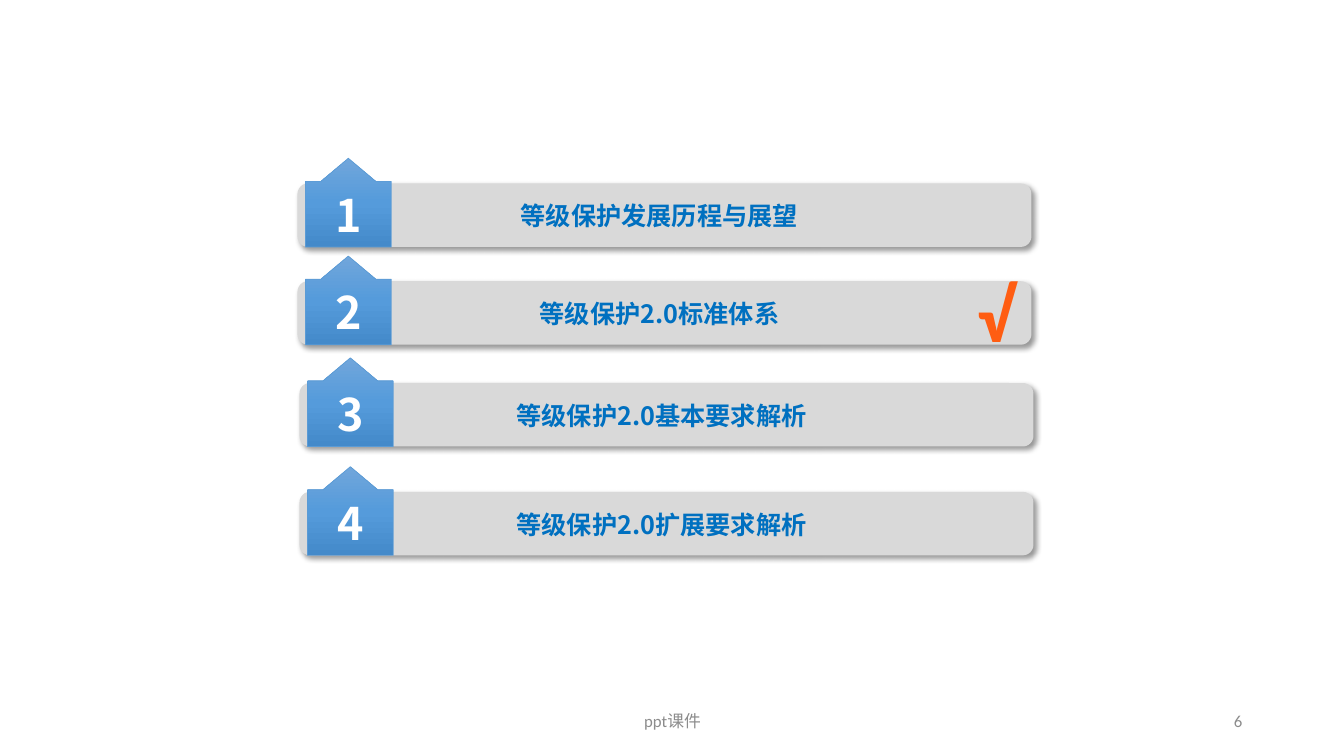
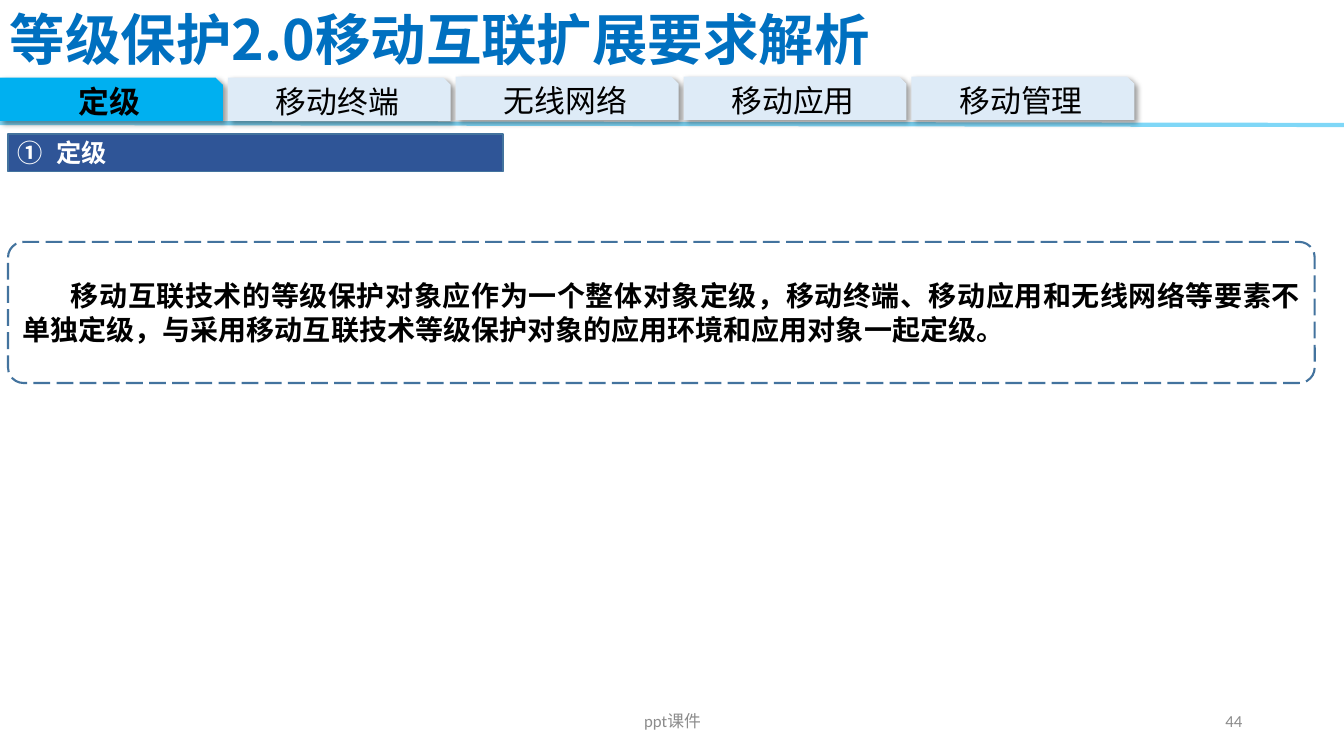
from lxml import etree
from pptx import Presentation
from pptx import util as u
from pptx.dml.color import RGBColor
from pptx.enum import dml, shapes, text
from pptx.oxml.ns import qn

PX = 9144  # 100 px to the inch
WIDTH, HEIGHT = 1333, 750

WHITE = RGBColor(0xFF, 0xFF, 0xFF)
BLACK = RGBColor(0x00, 0x00, 0x00)
GREY = RGBColor(0x8C, 0x8C, 0x8C)
BAR_GREY = RGBColor(0xD9, 0xD9, 0xD9)
TITLE_BLUE = RGBColor(0x00, 0x70, 0xC0)
SKY = RGBColor(0x00, 0xB0, 0xF0)
PALE_BLUE = RGBColor(0xDE, 0xEB, 0xF7)
NAVY = RGBColor(0x2F, 0x55, 0x97)
OUTLINE = RGBColor(0x43, 0x73, 0x9E)
BADGE_LINE = RGBColor(0x5B, 0x9B, 0xD5)
BADGE_STOPS = [(0, RGBColor(0x71, 0xA6, 0xDB)), (50, RGBColor(0x55, 0x9B, 0xDB)),
               (100, RGBColor(0x44, 0x8A, 0xCA))]
CHECK_STOPS = [(0, RGBColor(0xFF, 0xAC, 0x8E)), (75, RGBColor(0xFF, 0x5D, 0x12)),
               (100, RGBColor(0xD4, 0x56, 0x00))]

CJK, LATIN = "Noto Sans CJK SC", "Calibri"
LEFT, CENTER, RIGHT, JUSTIFY = (text.PP_ALIGN.LEFT, text.PP_ALIGN.CENTER,
                                text.PP_ALIGN.RIGHT, text.PP_ALIGN.JUSTIFY)
SHAPE = shapes.MSO_SHAPE


def add_node(parent, tag, **attributes):
    return etree.SubElement(parent, qn(tag), {k: str(v) for k, v in attributes.items()})


def fill_downwards(fill, owner, stops):
    """Give fill, which lies in the XML element owner, a top-to-bottom gradient."""
    fill.gradient()
    fill.gradient_angle = 270
    stop_list = owner.find(".//" + qn("a:gsLst"))
    for old_stop in list(stop_list):
        stop_list.remove(old_stop)
    for percent, color in stops:
        stop = add_node(stop_list, "a:gs", pos=percent * 1000)
        add_node(stop, "a:srgbClr", val=color)


class Deck:
    def __init__(self):
        self.prs = Presentation()
        self.prs.slide_width, self.prs.slide_height = WIDTH * PX, HEIGHT * PX
        self.slide = None

    def new_slide(self, number):
        self.slide = self.prs.slides.add_slide(self.prs.slide_layouts[6])
        self.label("ppt课件", 442, 695, 450, 40, 12, GREY, font=LATIN, bold=False)
        self.label(number, 942, 695, 300, 40, 12, GREY, font=LATIN, bold=False, align=RIGHT)

    def set_text(self, box, words, size, color, font=CJK, bold=True, align=CENTER):
        frame = box.text_frame
        frame.word_wrap = True
        frame.vertical_anchor = text.MSO_ANCHOR.MIDDLE
        paragraph = frame.paragraphs[0]
        paragraph.text = words
        paragraph.alignment = align
        style = paragraph.font
        style.size, style.bold, style.name = u.Pt(size), bold, font
        style.color.rgb = color
        defaults = paragraph._p.pPr.find(qn("a:defRPr"))
        add_node(defaults, "a:ea", typeface=CJK)
        return paragraph

    def label(self, words, x, y, w, h, size, color, **style):
        box = self.slide.shapes.add_textbox(x * PX, y * PX, w * PX, h * PX)
        return self.set_text(box, words, size, color, **style)

    def panel(self, kind, x, y, w, h, fill=None, line=None, weight=1, shadow=False):
        panel = self.slide.shapes.add_shape(kind, x * PX, y * PX, w * PX, h * PX)
        panel.shadow.inherit = False
        if fill is None:
            panel.fill.background()
        else:
            panel.fill.solid()
            panel.fill.fore_color.rgb = fill
        if line is None:
            panel.line.fill.background()
        else:
            panel.line.color.rgb = line
            panel.line.width = u.Pt(weight)
        if shadow:
            effects = panel._element.spPr.find(qn("a:effectLst"))
            cast = add_node(effects, "a:outerShdw", blurRad=u.Pt(4), dist=u.Pt(3),
                            dir=45 * 60000, algn="tl", rotWithShape=0)
            add_node(add_node(cast, "a:srgbClr", val=BLACK), "a:alpha", val=40000)
        return panel

    def agenda_row(self, number, words, x, y):
        self.panel(SHAPE.ROUNDED_RECTANGLE, x, y, 728, 63, BAR_GREY, shadow=True)
        badge = self.panel(SHAPE.UP_ARROW_CALLOUT, x + 8, y - 25, 85, 88,
                           line=BADGE_LINE, weight=0.5)
        for i, value in enumerate((1.61, 0.32, 0.27, 0.81)):
            badge.adjustments[i] = value
        fill_downwards(badge.fill, badge._element.spPr, BADGE_STOPS)
        self.set_text(badge, str(number), 32, WHITE)
        self.label(words, x + 95, y + 12, 528, 40, 18, TITLE_BLUE)

    def check_mark(self, x, y):
        mark = self.label("√", x, y, 78, 101, 54, BLACK, font=LATIN)
        fill_downwards(mark.font.fill, mark._p.pPr, CHECK_STOPS)

    def rule(self, x1, y1, x2, y2, color, weight, opacity):
        rule = self.slide.shapes.add_connector(shapes.MSO_CONNECTOR.STRAIGHT,
                                               x1 * PX, y1 * PX, x2 * PX, y2 * PX)
        rule.line.color.rgb = color
        rule.line.width = u.Pt(weight)
        properties = rule._element.spPr
        add_node(properties.find(".//" + qn("a:srgbClr")), "a:alpha", val=opacity * 1000)
        add_node(properties, "a:effectLst")

    def tabs(self, names, active):
        for i, name in enumerate(names):
            chosen = name == active
            tab = self.panel(SHAPE.SNIP_1_RECTANGLE, 226 * i, 77 if i < 2 else 76, 221, 43,
                             SKY if chosen else PALE_BLUE, shadow=True)
            self.set_text(tab, name, 22, BLACK, bold=chosen)

    def numbered_heading(self, words, x, y, w, h):
        band = self.panel(SHAPE.RECTANGLE, x, y, w, h, NAVY, OUTLINE)
        heading = self.set_text(band, words, 18, WHITE, align=LEFT)
        properties = heading._p.pPr
        properties.set("marL", str(38 * PX))
        properties.set("indent", str(-38 * PX))
        bullet = add_node(properties, "a:buAutoNum", type="circleNumDbPlain")
        properties.find(qn("a:defRPr")).addprevious(bullet)

    def dashed_note(self, words, x, y, w, h):
        note = self.panel(SHAPE.ROUNDED_RECTANGLE, x, y, w, h, line=OUTLINE, weight=1.5)
        note.adjustments[0] = 0.11
        note.line.dash_style = dml.MSO_LINE.LONG_DASH
        body = self.set_text(note, words, 20, BLACK, align=JUSTIFY)
        body.line_spacing = u.Pt(24)
        body.space_after = u.Pt(6)
        body._p.pPr.set("indent", str(48 * PX))


def agenda_slide(deck):
    deck.new_slide("6")
    rows = [("等级保护发展历程与展望", 295, 182), ("等级保护2.0标准体系", 295, 279),
            ("等级保护2.0基本要求解析", 297, 380), ("等级保护2.0扩展要求解析", 297, 488)]
    for number, (words, x, y) in enumerate(rows, 1):
        deck.agenda_row(number, words, x, y)
    deck.check_mark(949, 259)


def grading_slide(deck):
    deck.new_slide("44")
    deck.rule(0, 122, WIDTH, 124, SKY, 3, 50)
    deck.label("等级保护2.0移动互联扩展要求解析", 0, 1, 945, 75, 39.6, TITLE_BLUE, align=LEFT)
    deck.tabs(["定级", "移动终端", "无线网络", "移动应用", "移动管理"], active="定级")
    deck.numbered_heading("定级", 8, 133, 491, 37)
    deck.dashed_note("移动互联技术的等级保护对象应作为一个整体对象定级，移动终端、移动应用和"
                     "无线网络等要素不单独定级，与采用移动互联技术等级保护对象的应用环境和"
                     "应用对象一起定级。", 8, 240, 1296, 140)


def main():
    deck = Deck()
    agenda_slide(deck)
    grading_slide(deck)
    deck.prs.save("out.pptx")


if __name__ == "__main__":
    main()
